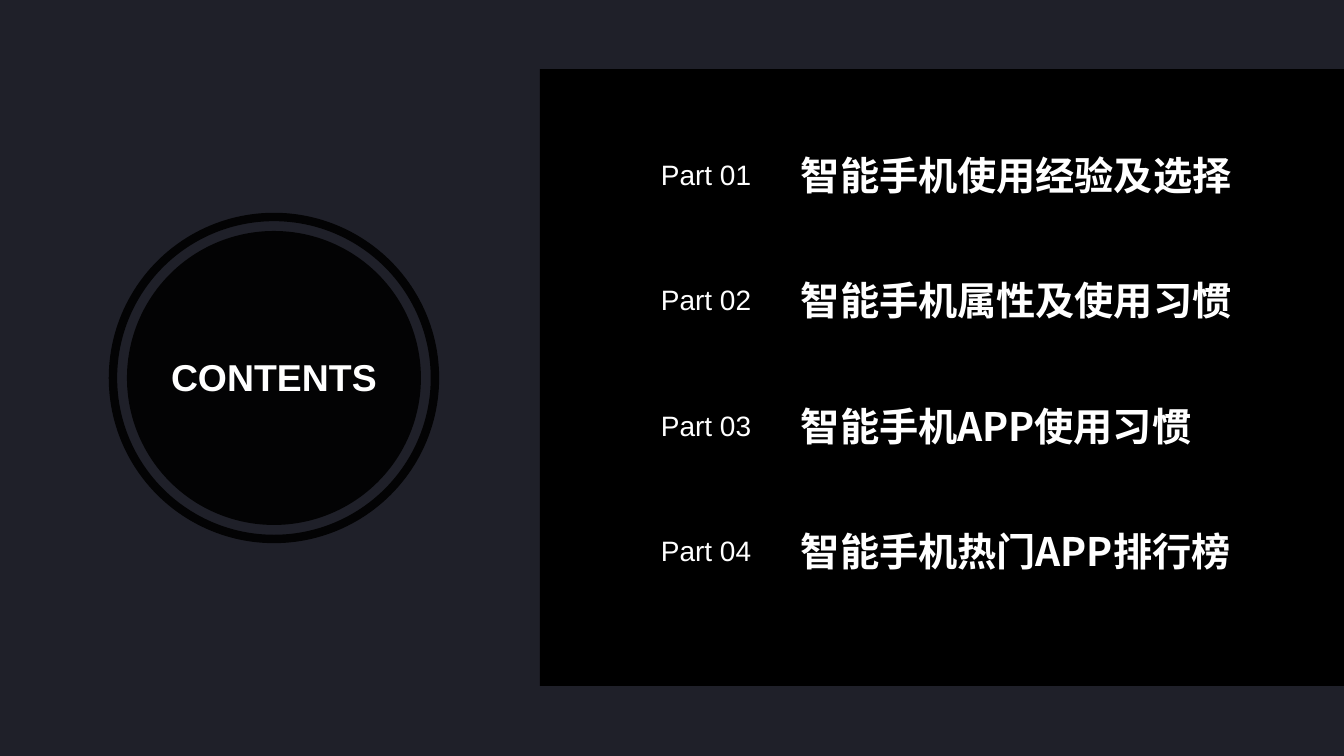
from lxml import etree
from pptx import Presentation
from pptx import util as u
from pptx.dml.color import RGBColor
from pptx.enum import shapes, text
from pptx.oxml import ns

SCALE = 914400 / 100.8
NAVY = RGBColor(0x1F, 0x20, 0x29)
BLACK = RGBColor(0, 0, 0)
WHITE = RGBColor(255, 255, 255)
LATIN_FONT = "Arial"
CHINESE_FONT = "Noto Sans CJK SC"
CHAPTERS = [
    "智能手机使用经验及选择",
    "智能手机属性及使用习惯",
    "智能手机APP使用习惯",
    "智能手机热门APP排行榜",
]
LAST_ROW_OFFSET = 376


def emu(*pixels):
    return [u.Emu(round(pixel * SCALE)) for pixel in pixels]


def add_solid(container, kind, box):
    shape = container.shapes.add_shape(kind, *emu(*box))
    shape.shadow.inherit = False
    shape.fill.solid()
    shape.fill.fore_color.rgb = BLACK
    shape.line.fill.background()
    return shape


def set_alpha(shape, percent):
    for color in shape.element.spPr.iter(ns.qn("a:srgbClr")):
        etree.SubElement(color, ns.qn("a:alpha")).set("val", str(percent * 1000))


def add_label(container, box, wording, size, font_name=LATIN_FONT, bold=False, centred=False):
    shape = container.shapes.add_textbox(*emu(*box))
    frame = shape.text_frame
    frame.word_wrap = not centred
    frame.auto_size = text.MSO_AUTO_SIZE.SHAPE_TO_FIT_TEXT
    paragraph = frame.paragraphs[0]
    paragraph.text = wording
    if centred:
        paragraph.alignment = text.PP_ALIGN.CENTER
    font = paragraph.font
    font.name = font_name
    font.size = u.Pt(size)
    font.bold = bold
    font.color.rgb = WHITE


def add_badge(slide):
    badge = slide.shapes.add_group_shape()
    ring = add_solid(badge, shapes.MSO_SHAPE.OVAL, (113, 217, 322, 322))
    ring.fill.background()
    ring.line.color.rgb = BLACK
    ring.line.width = u.Pt(6)
    disc = add_solid(badge, shapes.MSO_SHAPE.OVAL, (127, 231, 294, 294))
    for circle in (ring, disc):
        set_alpha(circle, 90)
    add_label(badge, (160, 349, 228, 55), "CONTENTS", 26.7, bold=True, centred=True)


def add_chapter(slide, index, title):
    offset = round(index * LAST_ROW_OFFSET / (len(CHAPTERS) - 1))
    add_label(slide, (651, 153 + offset, 172, 44), f"Part {index + 1:02d}", 20)
    add_label(slide, (791, 146 + offset, 524, 57), title, 28, CHINESE_FONT, bold=True)


def main():
    presentation = Presentation()
    presentation.slide_width, presentation.slide_height = emu(1344, 756)
    slide = presentation.slides.add_slide(presentation.slide_layouts[6])
    slide.background.fill.solid()
    slide.background.fill.fore_color.rgb = NAVY
    add_badge(slide)
    add_solid(slide, shapes.MSO_SHAPE.RECTANGLE, (540, 69, 804, 617))
    for index, title in enumerate(CHAPTERS):
        add_chapter(slide, index, title)
    presentation.save("out.pptx")


main()
